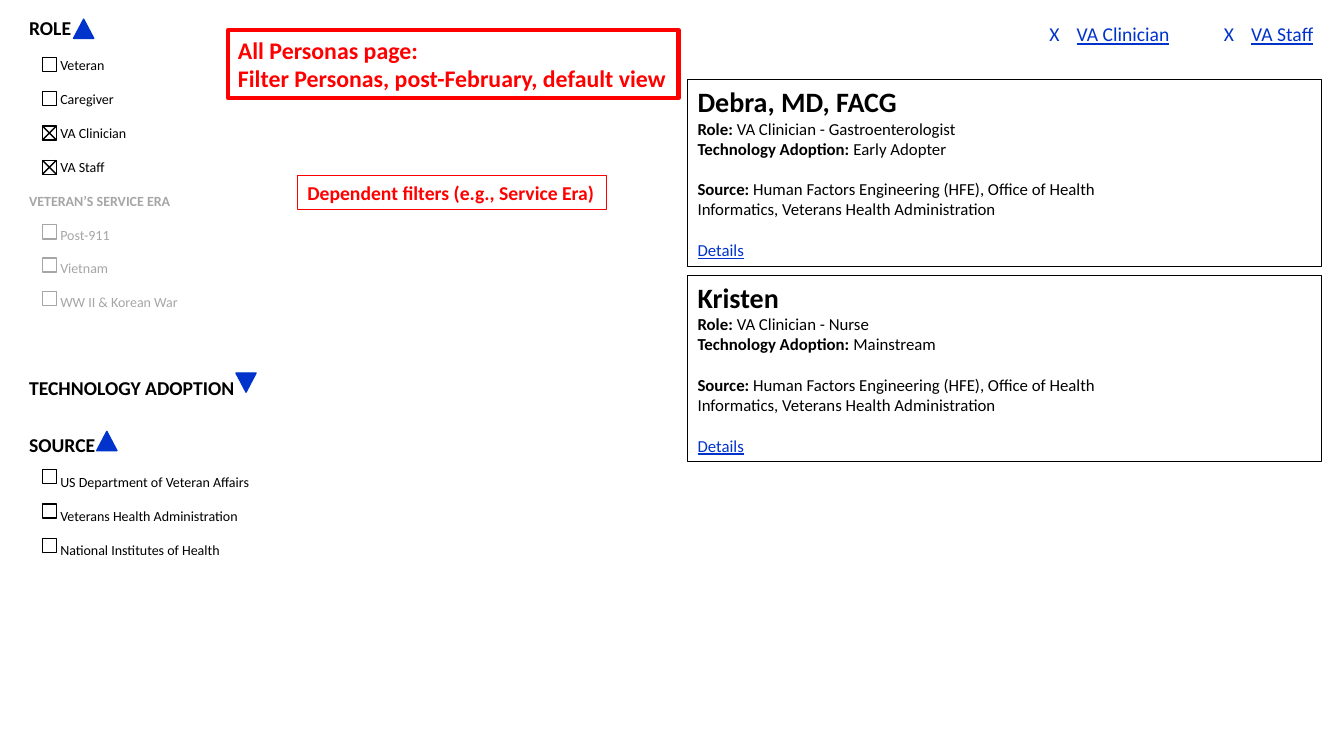
from lxml.etree import SubElement
from pptx import Presentation
from pptx.dml.color import RGBColor
from pptx.enum.shapes import MSO_CONNECTOR, MSO_SHAPE
from pptx.enum.text import MSO_ANCHOR, MSO_AUTO_SIZE, PP_ALIGN
from pptx.oxml.ns import qn
from pptx.util import Pt

PX = 9144  # EMU; 100 px to the inch
FONT = "Calibri"
BLACK = RGBColor(0x00, 0x00, 0x00)
WHITE = RGBColor(0xFF, 0xFF, 0xFF)
GREY = RGBColor(0xA6, 0xA6, 0xA6)
BLUE = RGBColor(0x00, 0x33, 0xCC)
RED = RGBColor(0xFF, 0x00, 0x00)

BOX_LEFT, BOX_SIZE = 42, 14
ITEM_INDENT = 31
ITEM_GAP = 12.2

# heading, size, colour, space before, options
FILTERS = [
    ("ROLE", 14, BLACK, 0,
     ["Veteran", "Caregiver", "VA Clinician", "VA Staff"]),
    ("VETERAN’S SERVICE ERA", 10, GREY, ITEM_GAP,
     ["Post-911", "Vietnam", "WW II & Korean War"]),
    ("TECHNOLOGY ADOPTION", 14, BLACK, 46.4, []),
    ("SOURCE", 14, BLACK, 24.4,
     ["US Department of Veteran Affairs", "Veterans Health Administration",
      "National Institutes of Health"]),
]
# first top, step, colour, checked state of each box
CHECKBOXES = [
    (57, 34, BLACK, [False, False, True, True]),
    (223, 33, GREY, [False, False, False]),
    (466, 34, BLACK, [False, False, False]),
]
# left, top, rotation
TRIANGLES = [(73, 19, 0), (234, 370, 180), (96, 428, 0)]
# top, name, role, adoption
PERSONAS = [
    (79, "Debra, MD, FACG", "VA Clinician - Gastroenterologist", "Early Adopter"),
    (273, "Kristen", "VA Clinician - Nurse", "Mainstream"),
]
SOURCE_LINES = ["Human Factors Engineering (HFE), Office of Health",
                "Informatics, Veterans Health Administration"]


def px(*lengths):
    return [round(length * PX) for length in lengths]


def format_run(run, size, color=BLACK, bold=False, underline=False):
    font = run.font
    font.name, font.size, font.bold = FONT, Pt(size), bold
    font.color.rgb = color
    if underline:
        font.underline = True


def add_paragraph(frame, text, size, color=BLACK, bold=False, before=0, underline=False):
    """Fill the empty first paragraph, or add one below the last."""
    first = frame.paragraphs[0]
    paragraph = frame.add_paragraph() if first.runs else first
    paragraph.text = text
    paragraph.alignment = PP_ALIGN.LEFT
    paragraph.space_before = Pt(before)
    format_run(paragraph.runs[0], size, color, bold, underline)
    return paragraph


def add_labelled(frame, label, value, before=0):
    paragraph = add_paragraph(frame, label + " ", 12, bold=True, before=before)
    run = paragraph.add_run()
    run.text = value
    format_run(run, 12)


def add_preset(slide, preset, left, top, width, height, fill, line, weight):
    shape = slide.shapes.add_shape(preset, *px(left, top, width, height))
    shape.shadow.inherit = False
    if fill is None:
        shape.fill.background()
    else:
        shape.fill.solid()
        shape.fill.fore_color.rgb = fill
    shape.line.color.rgb = line
    shape.line.width = Pt(weight)
    return shape


def add_line(slide, x1, y1, x2, y2):
    line = slide.shapes.add_connector(MSO_CONNECTOR.STRAIGHT, *px(x1, y1, x2, y2))
    line.line.color.rgb = BLACK
    line.line.width = Pt(1)
    SubElement(line._element.spPr, qn("a:effectLst"))


def add_checkbox(slide, top, color, checked):
    add_preset(slide, MSO_SHAPE.RECTANGLE, BOX_LEFT, top, BOX_SIZE, BOX_SIZE, WHITE, color, 1)
    if checked:
        right, bottom = BOX_LEFT + BOX_SIZE, top + BOX_SIZE
        add_line(slide, BOX_LEFT, top, right, bottom)
        add_line(slide, BOX_LEFT, bottom, right, top)


def add_filter_list(slide):
    frame = slide.shapes.add_textbox(*px(19, 11, 243, 549)).text_frame
    frame.word_wrap = True
    for heading, size, color, before, options in FILTERS:
        add_paragraph(frame, heading, size, color, True, before)
        for option in options:
            item = add_paragraph(frame, option, 10, color, before=ITEM_GAP)
            properties = item._p.get_or_add_pPr()
            properties.set("marL", str(ITEM_INDENT * PX))
            properties.set("indent", "0")


def add_persona(slide, top, name, role, adoption):
    card = add_preset(slide, MSO_SHAPE.RECTANGLE, 682, top, 629, 185, WHITE, BLACK, 0.75)
    frame = card.text_frame
    frame.word_wrap = True
    frame.vertical_anchor = MSO_ANCHOR.TOP
    add_paragraph(frame, name, 20, bold=True)
    add_labelled(frame, "Role:", role)
    add_labelled(frame, "Technology Adoption:", adoption)
    add_labelled(frame, "Source:", SOURCE_LINES[0], before=14.6)
    add_paragraph(frame, SOURCE_LINES[1], 12)
    add_paragraph(frame, "Details", 12, BLUE, before=14.6, underline=True)


def add_active_filter(slide, left, width, name):
    frame = slide.shapes.add_textbox(*px(left, 17, width, 34)).text_frame
    frame.word_wrap = True
    paragraph = add_paragraph(frame, "X\t", 14, BLUE)
    tabs = SubElement(paragraph._p.get_or_add_pPr(), qn("a:tabLst"))
    SubElement(tabs, qn("a:tab"), pos=str(27 * PX), algn="l")
    run = paragraph.add_run()
    run.text = name
    format_run(run, 14, BLUE, underline=True)


def add_title(slide):
    title = slide.shapes.title
    title.left, title.top, title.width, title.height = px(226, 30, 447, 67)
    title.line.color.rgb = RED
    title.line.width = Pt(3)
    frame = title.text_frame
    frame.word_wrap = False
    frame.auto_size = MSO_AUTO_SIZE.NONE
    frame.vertical_anchor = MSO_ANCHOR.TOP
    for line in ("All Personas page:", "Filter Personas, post-February, default view"):
        add_paragraph(frame, line, 17, RED, True)


def add_filter_note(slide):
    note = add_preset(slide, MSO_SHAPE.RECTANGLE, 295, 174, 307, 34, None, RED, 0.75)
    note.text_frame.word_wrap = False
    add_paragraph(note.text_frame, "Dependent filters (e.g., Service Era)", 14, RED, True)


def main():
    presentation = Presentation()
    presentation.slide_width, presentation.slide_height = px(1333, 750)
    slide = presentation.slides.add_slide(presentation.slide_layouts[5])

    add_title(slide)
    add_filter_list(slide)
    for first_top, step, color, states in CHECKBOXES:
        for row, checked in enumerate(states):
            add_checkbox(slide, first_top + row * step, color, checked)
    for left, top, rotation in TRIANGLES:
        triangle = add_preset(slide, MSO_SHAPE.ISOSCELES_TRIANGLE, left, top, 20, 19,
                              BLUE, BLUE, 1)
        triangle.rotation = rotation
    for persona in PERSONAS:
        add_persona(slide, *persona)
    add_filter_note(slide)
    add_active_filter(slide, 1031, 150, "VA Clinician")
    add_active_filter(slide, 1204, 120, "VA Staff")

    presentation.save("out.pptx")


if __name__ == "__main__":
    main()
